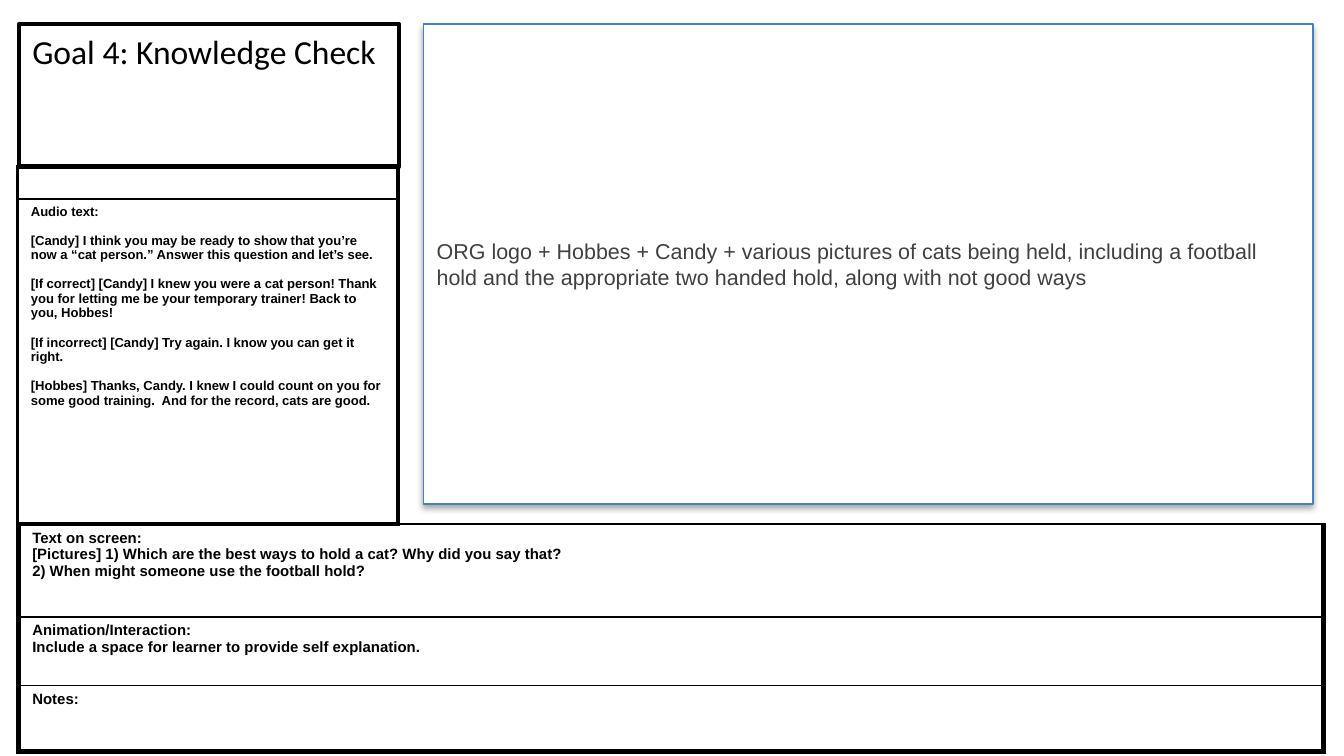
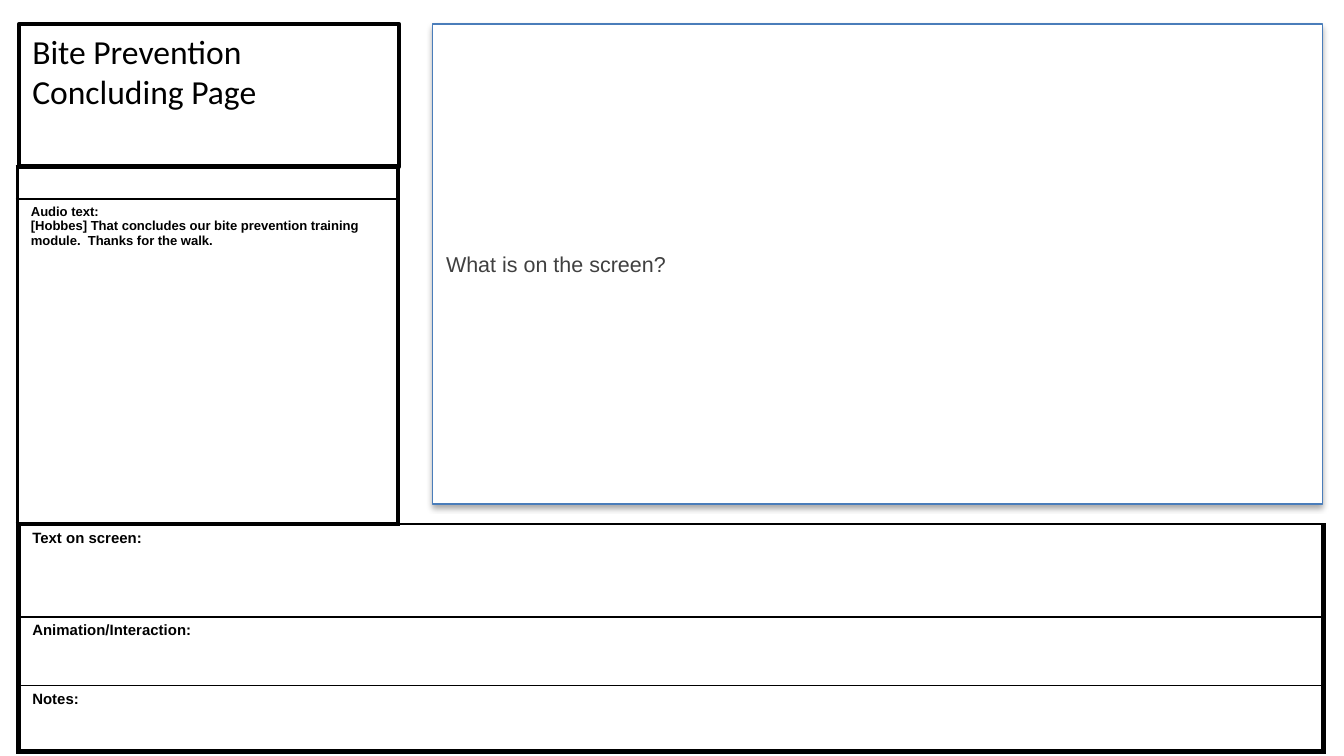
"""Build two storyboard slides for a bite prevention training module."""
import pptx
import pptx.dml.color
import pptx.enum.shapes
import pptx.enum.text
import pptx.oxml
import pptx.oxml.ns
import pptx.util
import lxml.etree

Inches, Pt = pptx.util.Inches, pptx.util.Pt
PP = pptx.enum.text.PP_ALIGN
MSO = pptx.enum.text.MSO_ANCHOR
qn = pptx.oxml.ns.qn
rgb = pptx.dml.color.RGBColor.from_string
BLACK, WHITE, BLUE, GREY = "000000", "FFFFFF", "4A7DBA", "404040"
SHADOW = (
    '<a:outerShdw xmlns:a="http://schemas.openxmlformats.org/drawingml/2006/main" '
    'blurRad="39370" dist="22860" dir="5400000" rotWithShape="0">'
    '<a:srgbClr val="000000"><a:alpha val="35000"/></a:srgbClr></a:outerShdw>'
)
TITLE = {"name": "Calibri", "size": Pt(18), "bold": False}
AUDIO = {"name": "Arial", "size": Pt(7), "bold": True}
NOTE = {"name": "Arial", "size": Pt(8), "bold": True}
SCREEN = {"name": "Arial", "size": Pt(11.5), "bold": False}

SLIDES = [
    {
        "title": "Goal 4: Knowledge Check",
        "audio": [
            "Audio text: ",
            "[Candy] I think you may be ready to show that you’re now a “cat person.” "
            "Answer this question and let’s see.",
            "[If correct] [Candy] I knew you were a cat person! Thank you for letting me "
            "be your temporary trainer! Back to you, Hobbes!",
            "[If incorrect] [Candy] Try again. I know you can get it right.",
            "[Hobbes] Thanks, Candy. I knew I could count on you for some good training.  "
            "And for the record, cats are good.",
        ],
        "audio_gap": 7.8,
        "notes": [
            ["Text on screen: ",
             "[Pictures] 1) Which are the best ways to hold a cat? Why did you say that?",
             "2) When might someone use the football hold? "],
            ["Animation/Interaction: ",
             "Include a space for learner to provide self explanation."],
            ["Notes: "],
        ],
        "screen": "ORG logo + Hobbes + Candy + various pictures of cats being held, including a "
                  "football hold and the appropriate two handed hold, along with not good ways",
        "screen_left": 3.15,
    },
    {
        "title": "Bite Prevention Concluding Page",
        "audio": [
            "Audio text: ",
            "[Hobbes] That concludes our bite prevention training module.  Thanks for the walk.",
        ],
        "audio_gap": 0,
        "notes": [["Text on screen: "], ["Animation/Interaction: "], ["Notes: "]],
        "screen": "What is on the screen?",
        "screen_left": 3.22,
    },
]


def write(tf, lines, font, color=BLACK, gap=0):
    tf.word_wrap = True
    for i, line in enumerate(lines):
        p = tf.paragraphs[0] if i == 0 else tf.add_paragraph()
        p.alignment = PP.LEFT
        p.space_before = Pt(gap if i else 0)
        r = p.add_run()
        r.text = line
        for key, value in font.items():
            setattr(r.font, key, value)
        r.font.color.rgb = rgb(color)


def add_grid(slide, left, top, cols, rows, side, first, last):
    frame = slide.shapes.add_table(len(rows), len(cols), Inches(left), Inches(top),
                                   Inches(sum(cols)), Inches(sum(rows)))
    tbl = frame.table
    tbl.first_row = tbl.horz_banding = False
    for col, width in zip(tbl.columns, cols):
        col.width = Inches(width)
    for i, height in enumerate(rows):
        tbl.rows[i].height = Inches(height)
        edges = {"L": side, "R": side, "T": first if i == 0 else 1,
                 "B": last if i == len(rows) - 1 else 1}
        for cell in tbl.rows[i].cells:
            cell.fill.background()
            cell.margin_top = cell.margin_bottom = Inches(0.04)
            tcPr = cell._tc.get_or_add_tcPr()
            for n, (edge, width) in enumerate(edges.items()):
                ln = lxml.etree.Element(qn("a:ln" + edge), w=str(Pt(width)))
                fill = lxml.etree.SubElement(ln, qn("a:solidFill"))
                lxml.etree.SubElement(fill, qn("a:srgbClr"), val=BLACK)
                tcPr.insert(n, ln)
        if len(cols) > 1:
            tbl.cell(i, 0).merge(tbl.cell(i, len(cols) - 1))
    return tbl


prs = pptx.Presentation()
prs.slide_width = Inches(10)
prs.slide_height = prs.slide_width * 9 // 16

for data in SLIDES:
    slide = prs.slides.add_slide(prs.slide_layouts[5])

    audio = add_grid(slide, 0.13, 1.24, [2.83], [0.24, 2.42], 2.25, 2.25, 2.25)
    blank = audio.cell(0, 0).text_frame.paragraphs[0]
    lxml.etree.SubElement(blank._p, qn("a:endParaRPr"), sz="700")
    write(audio.cell(1, 0).text_frame, data["audio"], AUDIO, gap=data["audio_gap"])

    notes = add_grid(slide, 0.14, 3.9, [4.79, 4.92], [0.69, 0.51, 0.49], 3, 1, 3)
    for i, lines in enumerate(data["notes"]):
        write(notes.cell(i, 0).text_frame, lines, NOTE)

    title = slide.shapes.title
    screen = slide.shapes.add_shape(pptx.enum.shapes.MSO_SHAPE.RECTANGLE, 0, 0, 0, 0)
    boxes = [
        (title, (0.14, 0.18, 2.83, 1.06), BLACK, 2.25, MSO.TOP),
        (screen, (data["screen_left"], 0.18, 6.62, 3.57), BLUE, 0.75, MSO.MIDDLE),
    ]
    for sp, box, color, width, anchor in boxes:
        sp.left, sp.top, sp.width, sp.height = map(Inches, box)
        sp.fill.solid()
        sp.fill.fore_color.rgb = rgb(WHITE)
        sp.line.color.rgb = rgb(color)
        sp.line.width = Pt(width)
        sp.text_frame.vertical_anchor = anchor
        sp.text_frame.auto_size = pptx.enum.text.MSO_AUTO_SIZE.NONE
    write(title.text_frame, [data["title"]], TITLE)
    title.text_frame.paragraphs[0].space_before = Pt(5.4)
    write(screen.text_frame, [data["screen"]], SCREEN, GREY)
    screen.shadow.inherit = False
    effects = screen._element.spPr.find(qn("a:effectLst"))
    effects.append(pptx.oxml.parse_xml(SHADOW))

prs.save("out.pptx")
